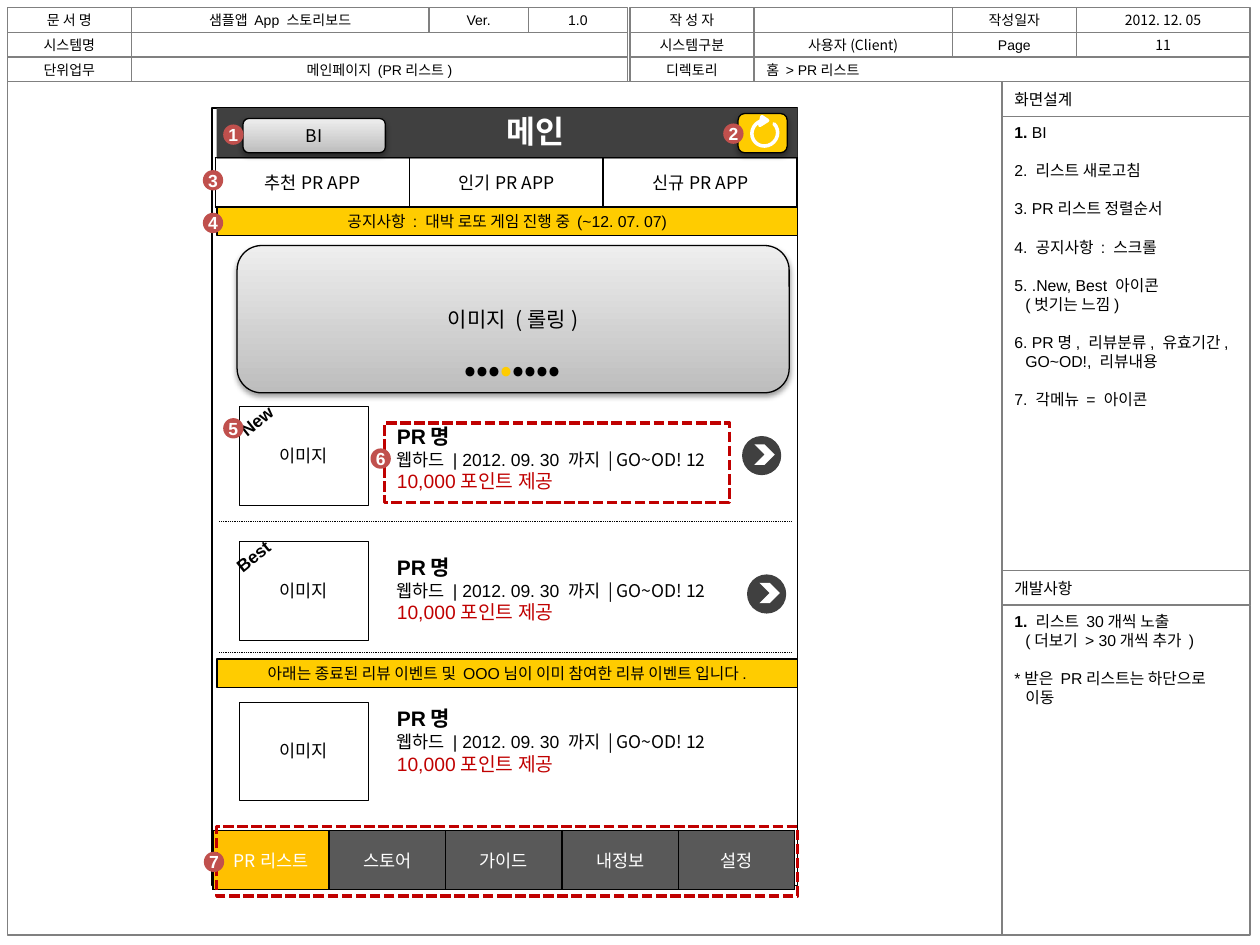
import pptx
import pptx.util
import pptx.dml.color
import pptx.enum.dml
import pptx.enum.shapes
import pptx.enum.text
import pptx.oxml
import pptx.oxml.ns
import lxml.etree

Cm = pptx.util.Cm
Pt = pptx.util.Pt
RGBColor = pptx.dml.color.RGBColor
MSO_SHAPE = pptx.enum.shapes.MSO_SHAPE
MSO_ANCHOR = pptx.enum.text.MSO_ANCHOR
PP_ALIGN = pptx.enum.text.PP_ALIGN
MSO_LINE = pptx.enum.dml.MSO_LINE
qn = pptx.oxml.ns.qn

BLACK = RGBColor(0x00, 0x00, 0x00)
WHITE = RGBColor(0xFF, 0xFF, 0xFF)
FRAME_GRAY = RGBColor(0x80, 0x80, 0x80)
DARK_GRAY = RGBColor(0x40, 0x40, 0x40)
MENU_GRAY = RGBColor(0x59, 0x59, 0x59)
MENU_ORANGE = RGBColor(0xFF, 0xC0, 0x00)
YELLOW = RGBColor(0xFF, 0xCC, 0x00)
RED = RGBColor(0xC0, 0x00, 0x00)
BADGE_RED = RGBColor(0xC0, 0x50, 0x4D)
SILVER_DARK = RGBColor(0xBD, 0xBD, 0xBD)
SILVER_LIGHT = RGBColor(0xEE, 0xEE, 0xEE)
ARIAL = "Arial"
NOTO = "Noto Sans CJK KR"
DRAWING = "http://schemas.openxmlformats.org/drawingml/2006/main"
SHADOW = (f'<a:effectLst xmlns:a="{DRAWING}"><a:outerShdw blurRad="40000" dist="20000" '
          'dir="5400000" rotWithShape="0"><a:srgbClr val="000000"><a:alpha val="38000"/>'
          '</a:srgbClr></a:outerShdw></a:effectLst>')
BORDER = (f'<a:{{0}} xmlns:a="{DRAWING}" w="12700"><a:solidFill><a:srgbClr val="000000"/>'
          '</a:solidFill></a:{0}>')

presentation = pptx.Presentation()
presentation.slide_width = Cm(25.4)
presentation.slide_height = Cm(19.05)
slide = presentation.slides.add_slide(presentation.slide_layouts[6])


def add_box(kind, left, top, width, height, fill=None, line=None, line_width=0.75):
    shape = slide.shapes.add_shape(kind, Cm(left), Cm(top), Cm(width), Cm(height))
    shape.shadow.inherit = False
    if fill is None:
        shape.fill.background()
    else:
        shape.fill.solid()
        shape.fill.fore_color.rgb = fill
    if line is None:
        shape.line.fill.background()
    else:
        shape.line.color.rgb = line
        shape.line.width = Pt(line_width)
    shape.text_frame.vertical_anchor = MSO_ANCHOR.MIDDLE
    return shape


def write(frame, text, size, color=BLACK, name=ARIAL, bold=False, alignment=PP_ALIGN.CENTER):
    """Fill the empty first paragraph of the frame, or add one, and return it."""
    paragraph = frame.paragraphs[0]
    if paragraph.runs:
        paragraph = frame.add_paragraph()
    paragraph.add_run().text = text
    paragraph.alignment = alignment
    font = paragraph.font
    font.size, font.bold, font.name = Pt(size), bold, name
    font.color.rgb = color
    defaults = paragraph._p.pPr.find(qn("a:defRPr"))
    lxml.etree.SubElement(defaults, qn("a:ea")).set("typeface", NOTO)
    return paragraph


# Document header: rows of (left, width, text, font)
header_rows = [
    [(0.15, 2.5, "문 서 명", ARIAL), (2.65, 6, "샘플앱 App 스토리보드", ARIAL),
     (8.65, 2, "Ver.", ARIAL), (10.65, 2, "1.0", ARIAL), (12.7, 2.5, "작 성 자", ARIAL),
     (15.2, 4, "", ARIAL), (19.2, 2.5, "작성일자", ARIAL), (21.7, 3.5, "2012. 12. 05", NOTO)],
    [(0.15, 2.5, "시스템명", ARIAL), (2.65, 10, "", ARIAL), (12.7, 2.5, "시스템구분", ARIAL),
     (15.2, 4, "사용자(Client)", NOTO), (19.2, 2.5, "Page", ARIAL), (21.7, 3.5, "11", NOTO)],
    [(0.15, 2.5, "단위업무", ARIAL), (2.65, 10, "메인페이지 (PR리스트)", ARIAL),
     (12.7, 2.5, "디렉토리", ARIAL), (15.2, 10, "홈 > PR리스트", ARIAL)],
]
for row, cells in enumerate(header_rows):
    for left, width, text, name in cells:
        shape = add_box(MSO_SHAPE.RECTANGLE, left, 0.15 + 0.5 * row, width, 0.5, line=FRAME_GRAY)
        if text:
            alignment = PP_ALIGN.LEFT if text.startswith("홈") else PP_ALIGN.CENTER
            write(shape.text_frame, text, 8, name=name, alignment=alignment)
add_box(MSO_SHAPE.RECTANGLE, 0.15, 1.65, 20.05, 17.2, line=FRAME_GRAY)

# Side notes: each item is a first line with optional continuation lines
side_notes = [
    (1.65, 9.15, "화면설계", [
        ["1. BI"], ["2. 리스트 새로고침"], ["3. PR리스트 정렬순서"], ["4. 공지사항 : 스크롤"],
        ["5. .New, Best 아이콘", "(벗기는 느낌)"],
        ["6. PR명, 리뷰분류, 유효기간,", "GO~OD!, 리뷰내용"], ["7. 각메뉴 = 아이콘"]]),
    (11.5, 6.65, "개발사항", [
        ["1. 리스트 30개씩 노출", "(더보기 > 30개씩 추가 )"],
        ["*받은 PR리스트는 하단으로", "이동"]]),
]
for top, height, title, items in side_notes:
    heading = add_box(MSO_SHAPE.RECTANGLE, 20.2, top, 5, 0.7, line=FRAME_GRAY)
    write(heading.text_frame, title, 9, alignment=PP_ALIGN.LEFT)
    frame = add_box(MSO_SHAPE.RECTANGLE, 20.2, top + 0.7, 5, height, line=FRAME_GRAY).text_frame
    frame.vertical_anchor = MSO_ANCHOR.TOP
    frame.margin_right = 0
    for item_index, lines in enumerate(items):
        for line_index, text in enumerate(lines):
            paragraph = write(frame, text, 9, alignment=PP_ALIGN.LEFT)
            if line_index:
                paragraph._p.pPr.set("marL", str(Cm(0.22)))
            elif item_index:
                paragraph.space_before = Pt(11)
            else:
                run = paragraph.runs[0]
                run.text, run.font.bold = "1.", True
                paragraph.add_run().text = text[2:]

# Phone frame and title bar
add_box(MSO_SHAPE.RECTANGLE, 4.27, 2.18, 11.81, 15.67, WHITE, BLACK, 1)
title_bar = add_box(MSO_SHAPE.RECTANGLE, 4.37, 2.18, 11.71, 1.02, DARK_GRAY)
title_box = slide.shapes.add_textbox(Cm(8.1), Cm(2.13), Cm(5.38), Cm(1.02))
write(title_box.text_frame, "메인", 18, WHITE, bold=True)

# Silver buttons and the refresh button
for left, top, width, height, text, size in [(4.78, 4.95, 11.13, 2.97, "이미지 (롤링)", 12),
                                             (4.9, 2.39, 2.87, 0.69, "BI", 10)]:
    button = add_box(MSO_SHAPE.ROUNDED_RECTANGLE, left, top, width, height, line=BLACK)
    button.fill.gradient()
    button.fill.gradient_angle = 90
    for stop, color in zip(button.fill.gradient_stops, (SILVER_DARK, SILVER_LIGHT)):
        stop.color.rgb = color
    write(button.text_frame, text, size, name=NOTO)
    properties = button._element.spPr
    properties.replace(properties.find(qn("a:effectLst")), pptx.oxml.parse_xml(SHADOW))
refresh = add_box(MSO_SHAPE.ROUNDED_RECTANGLE, 14.88, 2.29, 0.99, 0.79, YELLOW, BLACK)
properties = refresh._element.spPr
properties.replace(properties.find(qn("a:effectLst")), pptx.oxml.parse_xml(SHADOW))
arrow = add_box(MSO_SHAPE.CIRCULAR_ARROW, 15.06, 2.34, 0.71, 0.69, WHITE, WHITE, 2)
arrow.rotation = 134.7
for index, value in enumerate([0, 18.34, 70.46, 108, 0.13]):
    arrow.adjustments[index] = value

# Page dots of the rolling banner
dots_box = slide.shapes.add_textbox(Cm(8.64), Cm(6.93), Cm(3.38), Cm(1.02))
paragraph = write(dots_box.text_frame, "•••", 18, name=NOTO, bold=True)
run = paragraph.add_run()
run.text = "•"
run.font.color.rgb = YELLOW
paragraph.add_run().text = "••••"

# Notice bars
for top, text in [(4.17, "공지사항 : 대박 로또 게임 진행 중 (~12. 07. 07)"),
                  (13.28, "아래는 종료된 리뷰 이벤트 및 OOO님이 이미 참여한 리뷰 이벤트 입니다.")]:
    notice = add_box(MSO_SHAPE.RECTANGLE, 4.37, top, 11.71, 0.58, YELLOW, BLACK, 1)
    write(notice.text_frame, text, 9)

# Review list
for image_top, text_top in [(8.2, 8.41), (10.92, 11.05), (14.15, 14.1)]:
    image = add_box(MSO_SHAPE.RECTANGLE, 4.83, image_top, 2.59, 1.98, WHITE, BLACK, 0.25)
    write(image.text_frame, "이미지", 10)
    frame = slide.shapes.add_textbox(Cm(7.75), Cm(text_top), Cm(7.92), Cm(1.68)).text_frame
    frame.word_wrap = True
    write(frame, "PR명", 12, bold=True, alignment=PP_ALIGN.LEFT)
    paragraph = write(frame, "웹하드 | 2012. 09. 30 까지 ", 10, alignment=PP_ALIGN.LEFT)
    run = paragraph.add_run()
    run.text, run.font.name = "| GO~OD! 12", NOTO
    write(frame, "10,000포인트 제공", 11, RED, alignment=PP_ALIGN.LEFT)
for top in (10.52, 13.16):
    divider = slide.shapes.add_connector(
        pptx.enum.shapes.MSO_CONNECTOR.STRAIGHT, Cm(4.42), Cm(top), Cm(15.95), Cm(top))
    divider.line.color.rgb = BLACK
    divider.line.width = Pt(0.5)
    divider.line.dash_style = MSO_LINE.ROUND_DOT
    lxml.etree.SubElement(divider._element.spPr, qn("a:effectLst"))
for left, top in [(14.96, 8.79), (15.06, 11.58)]:
    add_box(MSO_SHAPE.OVAL, left, top, 0.79, 0.79, DARK_GRAY)
    add_box(MSO_SHAPE.CHEVRON, left + 0.25, top + 0.17, 0.41, 0.41, WHITE)
for left, top, text in [(4.29, 8.15, "New"), (4.22, 10.87, "Best")]:
    ribbon = slide.shapes.add_textbox(Cm(left), Cm(top), Cm(1.78), Cm(0.69))
    ribbon.rotation = 321
    write(ribbon.text_frame, text, 10, bold=True)

# Sort tabs and bottom menu
menus = [
    (4.34, 3.18, 0.99, BLACK, [("추천PR APP", None), ("인기PR APP", None), ("신규PR APP", None)]),
    (4.29, 16.74, 1.19, WHITE, [("PR리스트", MENU_ORANGE), ("스토어", MENU_GRAY),
                                ("가이드", MENU_GRAY), ("내정보", MENU_GRAY), ("설정", MENU_GRAY)]),
]
for left, top, height, color, entries in menus:
    table = slide.shapes.add_table(
        1, len(entries), Cm(left), Cm(top), Cm(11.73), Cm(height)).table
    table.first_row = table.horz_banding = False
    for cell, (text, fill) in zip(table.iter_cells(), entries):
        for side in ("lnL", "lnR", "lnT", "lnB"):
            cell._tc.get_or_add_tcPr().append(pptx.oxml.parse_xml(BORDER.format(side)))
        if fill is None:
            cell.fill.background()
        else:
            cell.fill.solid()
            cell.fill.fore_color.rgb = fill
        cell.vertical_anchor = MSO_ANCHOR.MIDDLE
        write(cell.text_frame, text, 10, color, NOTO)

# Callouts and numbered badges
for left, top, width, height in [(4.37, 16.66, 11.71, 1.4), (7.75, 8.53, 6.96, 1.6)]:
    callout = add_box(MSO_SHAPE.RECTANGLE, left, top, width, height, line=RED, line_width=2)
    callout.line.dash_style = MSO_LINE.SQUARE_DOT
    callout.line.dash_style = MSO_LINE.DASH if callout.line.dash_style is None else callout.line.dash_style
    callout.line._ln.find(qn("a:prstDash")).set("val", "sysDash")
badges = [(4.5, 2.51), (14.58, 2.49), (4.09, 3.43), (4.09, 4.29), (4.5, 8.43), (7.47, 9.04),
          (4.11, 17.17)]
for number, (left, top) in enumerate(badges, 1):
    badge = add_box(MSO_SHAPE.OVAL, left, top, 0.41, 0.41, BADGE_RED)
    frame = badge.text_frame
    frame.margin_left = frame.margin_right = frame.margin_top = frame.margin_bottom = 0
    frame.word_wrap = False
    write(frame, str(number), 10, WHITE, bold=True)

presentation.save("out.pptx")
